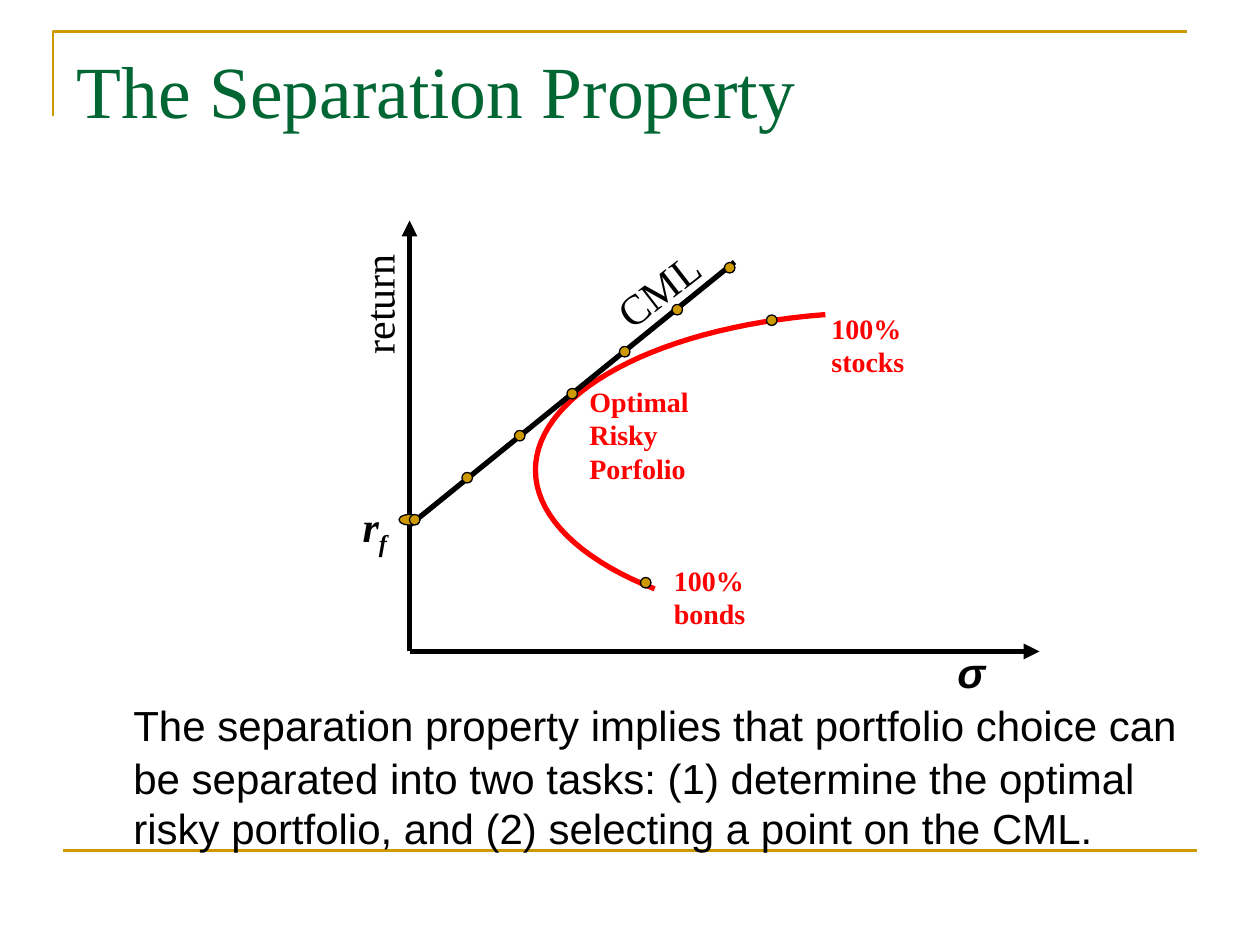
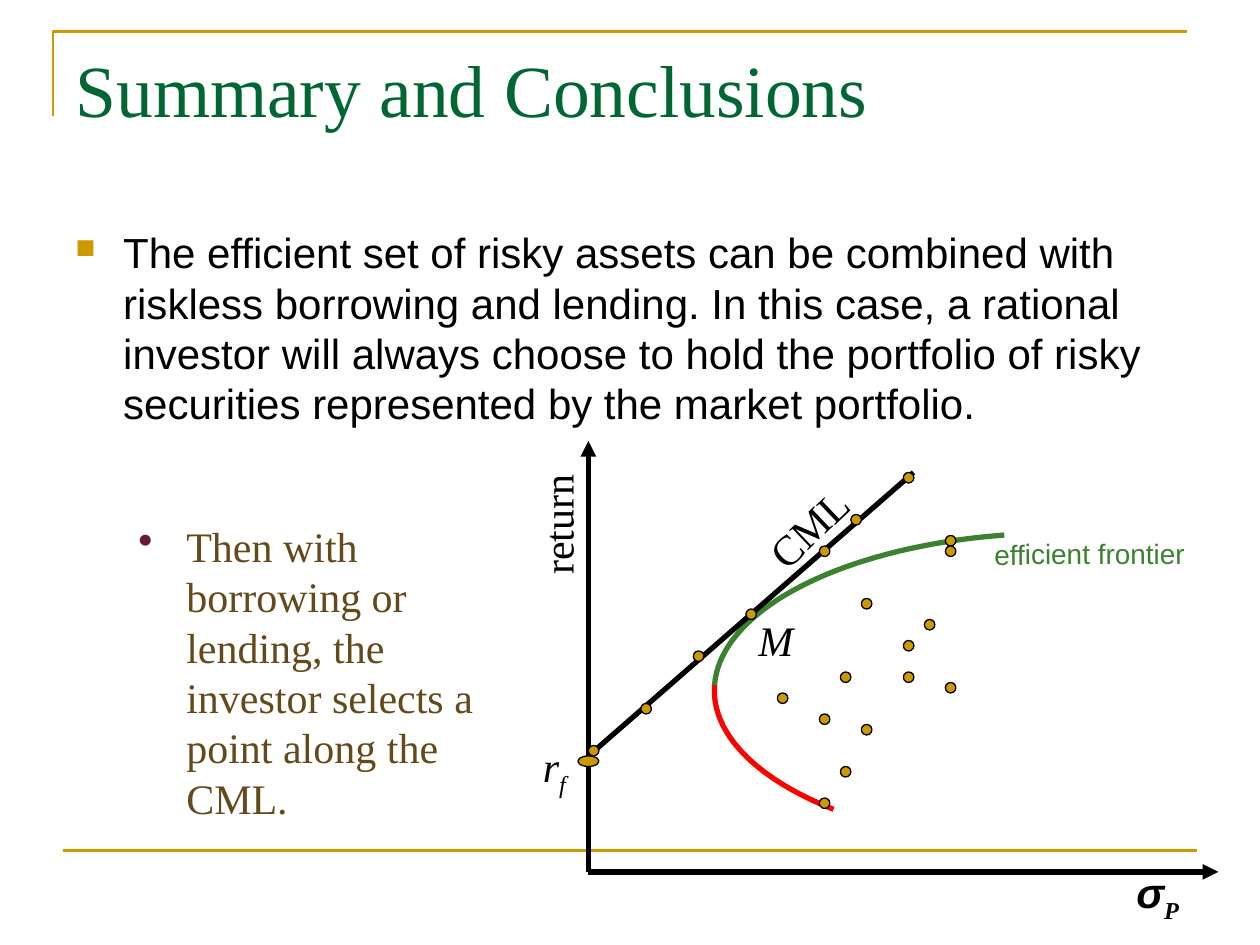
from math import cos, sin, radians
from pptx import Presentation
from pptx.dml.color import RGBColor as RGB
from pptx.enum.shapes import MSO_CONNECTOR as LINK, MSO_SHAPE as SHAPE
from pptx.enum.text import MSO_ANCHOR as ANCHOR, MSO_AUTO_SIZE as FIT, PP_ALIGN as ALIGN
from pptx.oxml.ns import qn
from pptx.oxml.xmlchemy import OxmlElement as Node
from pptx.util import Inches, Pt

GOLD = RGB(0xCC, 0x99, 0x00)
PINE = RGB(0x00, 0x66, 0x33)
LEAF = RGB(0x3B, 0x81, 0x2F)
RED = RGB(0xFF, 0x00, 0x00)
BROWN = RGB(0x64, 0x4A, 0x1A)
PLUM = RGB(0x67, 0x17, 0x39)
BLACK = RGB(0x00, 0x00, 0x00)
SERIF, SANS = "Times New Roman", "Arial"
UNIT = 1 / 12
HANG = 0.38


def ink(para, text, size=24, color=BLACK, face=SERIF, bold=False, slant=False, sub=False):
    """Add one formatted run to a paragraph."""
    run = para.add_run()
    run.text = text
    font = run.font
    font.name, font.size, font.bold, font.italic = face, Pt(size), bold, slant
    font.color.rgb = color
    if sub:
        run._r.get_or_add_rPr().set("baseline", "-25000")


def label(slide, box, runs, align=ALIGN.LEFT, turn=0, fit=FIT.SHAPE_TO_FIT_TEXT):
    """Place a text box holding one paragraph of runs and return the paragraph."""
    shape = slide.shapes.add_textbox(*map(Inches, box))
    shape.rotation = turn
    frame = shape.text_frame
    frame.word_wrap, frame.auto_size = True, fit
    para = frame.paragraphs[0]
    para.alignment = align
    for text, style in runs:
        ink(para, text, **style)
    return para


def body(slide, box, runs, mark=None, color=GOLD, scale=100):
    """Place a hanging paragraph, with a bullet when a mark is given."""
    props = label(slide, box, runs, fit=FIT.NONE)._p.get_or_add_pPr()
    props.set("marL", str(Inches(HANG)))
    props.set("indent", str(-Inches(HANG)))
    if mark:
        tint, size, char = Node("a:buClr"), Node("a:buSzPct"), Node("a:buChar")
        value = Node("a:srgbClr")
        value.set("val", str(color))
        tint.append(value)
        size.set("val", str(scale * 1000))
        char.set("char", mark)
        for part in (tint, size, char):
            props.append(part)


def line(slide, start, end, color=BLACK, width=3, arrow=False):
    """Draw a straight line, with an arrowhead at its end on request."""
    link = slide.shapes.add_connector(LINK.STRAIGHT, *map(Inches, start + end))
    link.line.color.rgb, link.line.width = color, Pt(width)
    props = link._element.spPr
    if arrow:
        tip = Node("a:tailEnd")
        tip.set("type", "triangle")
        props.find(qn("a:ln")).append(tip)
    props.append(Node("a:effectLst"))
    return link


def trace(slide, points, color, width):
    """Draw an open unfilled outline through the points."""
    first, *rest = [(Inches(x), Inches(y)) for x, y in points]
    pen = slide.shapes.build_freeform(*first)
    pen.add_line_segments(rest, close=False)
    shape = pen.convert_to_shape()
    shape.shadow.inherit = False
    shape.fill.background()
    shape.line.color.rgb, shape.line.width = color, Pt(width)
    return shape


def dot(slide, left, top, wide=1):
    """Draw a gold marker, its width in grid units."""
    shape = slide.shapes.add_shape(
        SHAPE.OVAL, *map(Inches, (left, top, wide * UNIT, UNIT)))
    shape.shadow.inherit = False
    shape.fill.solid()
    shape.fill.fore_color.rgb = GOLD
    shape.line.color.rgb, shape.line.width = BLACK, Pt(0.74)


def bands(slide, layout):
    """Put the corner rule and the foot rule on the shared layout."""
    rules = (trace(slide, [(0.42, 0.92), (0.42, 0.25), (9.42, 0.25)], GOLD, 1.5),
             line(slide, (0.5, 6.75), (9.5, 6.75), GOLD, 1.5))
    for rule in rules:
        layout.shapes._spTree.append(rule._element)


def heading(slide, text, box):
    """Move and fill the title placeholder."""
    title = slide.shapes.title
    title.left, title.top, title.width, title.height = map(Inches, box)
    frame = title.text_frame
    frame.word_wrap, frame.auto_size = True, FIT.NONE
    frame.vertical_anchor = ANCHOR.TOP
    para = frame.paragraphs[0]
    para.alignment = ALIGN.LEFT
    ink(para, text, 42, PINE)


def graph(slide, box, arcs, cml, rate, dots, notes):
    """Draw the return and risk graph in a box whose left and foot are the axes."""
    left, top, width, height = box
    foot = top + height
    for start, end, color in arcs:
        turns = [radians(start + (end - start) * i / 48) for i in range(49)]
        trace(slide, [(left + 3.75 + 2.75 * cos(t), top + 1.98 + 1.25 * sin(t))
                      for t in turns], color, 3)
    line(slide, (left, foot), (left + width, foot), arrow=True)
    line(slide, (left, foot), (left, top), arrow=True)
    low, high = cml
    line(slide, (left, top + low), (left + 2.58, top + high))
    dot(slide, left - UNIT, top + rate * UNIT, 2)
    for col, row in dots:
        dot(slide, left + col * UNIT, top + row * UNIT)
    for (x, y, w, h), runs, align, turn in notes:
        label(slide, (left + x, top + y, w, h), runs, align, turn)


def separation(slide):
    """Build the slide on the separation property."""
    heading(slide, "The Separation Property", (0.51, 0.31, 8.99, 1.18))
    body(slide, (0.58, 5.42, 9.25, 1.42), [
        ("\t", dict(size=30, face=SANS)),
        ("The separation property implies that portfolio choice can be separated "
         "into two tasks: (1) determine the optimal risky portfolio, and "
         "(2) selecting a point on the CML.", dict(face=SANS))])
    tag = dict(size=16, color=RED, bold=True)
    rate = dict(bold=True, slant=True)
    dots = [(22, 34), (34, 9)] + [(5 * i, 28 - 4 * i) for i in range(7)]
    notes = [
        ((2, 2.67, 1.21, 0.64), [("100% bonds", tag)], ALIGN.LEFT, 0),
        ((3.25, 0.67, 1.21, 0.64), [("100% stocks", tag)], ALIGN.LEFT, 0),
        ((1.33, 1.25, 1.21, 0.9), [("Optimal Risky Porfolio", tag)], ALIGN.LEFT, 0),
        ((-1, 2.17, 0.92, 0.56), [("r", rate), ("f", dict(rate, sub=True))],
         ALIGN.RIGHT, 0),
        ((-0.79, 0.37, 1.08, 0.5), [("return", {})], ALIGN.LEFT, 270),
        ((4.25, 3.33, 0.5, 0.5), [("σ", dict(rate, face=SANS))], ALIGN.LEFT, 0),
        ((1.5, 0.25, 1.08, 0.5), [("CML", {})], ALIGN.LEFT, 322.3)]
    graph(slide, (3.25, 1.75, 5, 3.42), [(260.6, 131, RED)], (2.42, 0.33), 28,
          dots, notes)


def summary(slide):
    """Build the slide with the summary and conclusions."""
    heading(slide, "Summary and Conclusions", (0.5, 0.3, 9, 1.25))
    body(slide, (0.5, 1.75, 9, 1.77), [
        ("The efficient set of risky assets can be combined with riskless borrowing "
         "and lending. In this case, a rational investor will always choose to hold "
         "the portfolio of risky securities represented by the market portfolio.",
         dict(face=SANS))], "■", GOLD, 65)
    rate = dict(slant=True)
    axis = dict(bold=True, slant=True)
    line_dots = [(0, 29), (5, 25), (10, 20), (15, 16), (22, 10), (25, 7), (30, 3)]
    assets = [(22, 34), (34, 9), (24, 31), (26, 27), (22, 26), (24, 22), (18, 24),
              (26, 15), (32, 17), (30, 19), (30, 22), (34, 23), (34, 10)]
    notes = [
        ((-0.79, 0.37, 1.08, 0.5), [("return", {})], ALIGN.LEFT, 270),
        ((4.25, 3.33, 0.92, 0.56),
         [("σ", dict(axis, face=SANS)), ("P", dict(axis, sub=True))], ALIGN.LEFT, 0),
        ((2.75, 0.71, 2.08, 0.37),
         [("efficient frontier", dict(size=16, color=LEAF, face=SANS))],
         ALIGN.RIGHT, 359.6),
        ((-0.75, 2.33, 0.67, 0.56), [("r", rate), ("f", dict(rate, sub=True))],
         ALIGN.RIGHT, 0),
        ((1.25, 1.33, 0.58, 0.5), [("M", rate)], ALIGN.LEFT, 0),
        ((1.28, 0.42, 0.97, 0.5), [("CML", {})], ALIGN.LEFT, 316.4)]
    graph(slide, (4.67, 3.5, 5, 3.42), [(260.6, 182, LEAF), (182, 131, RED)],
          (2.5, 0.25), 30, assets + line_dots, notes)
    body(slide, (1, 4.08, 3.08, 2.5), [
        ("Then with borrowing or lending, the investor selects a point along the CML.",
         dict(color=BROWN))], "•", PLUM)


deck = Presentation()
deck.slide_width, deck.slide_height = Inches(10), Inches(7.5)
layout = deck.slide_layouts.get_by_name("Title Only")
pages = [deck.slides.add_slide(layout) for _ in range(2)]
bands(pages[0], layout)
for build, page in zip((separation, summary), pages):
    build(page)
deck.save("out.pptx")
